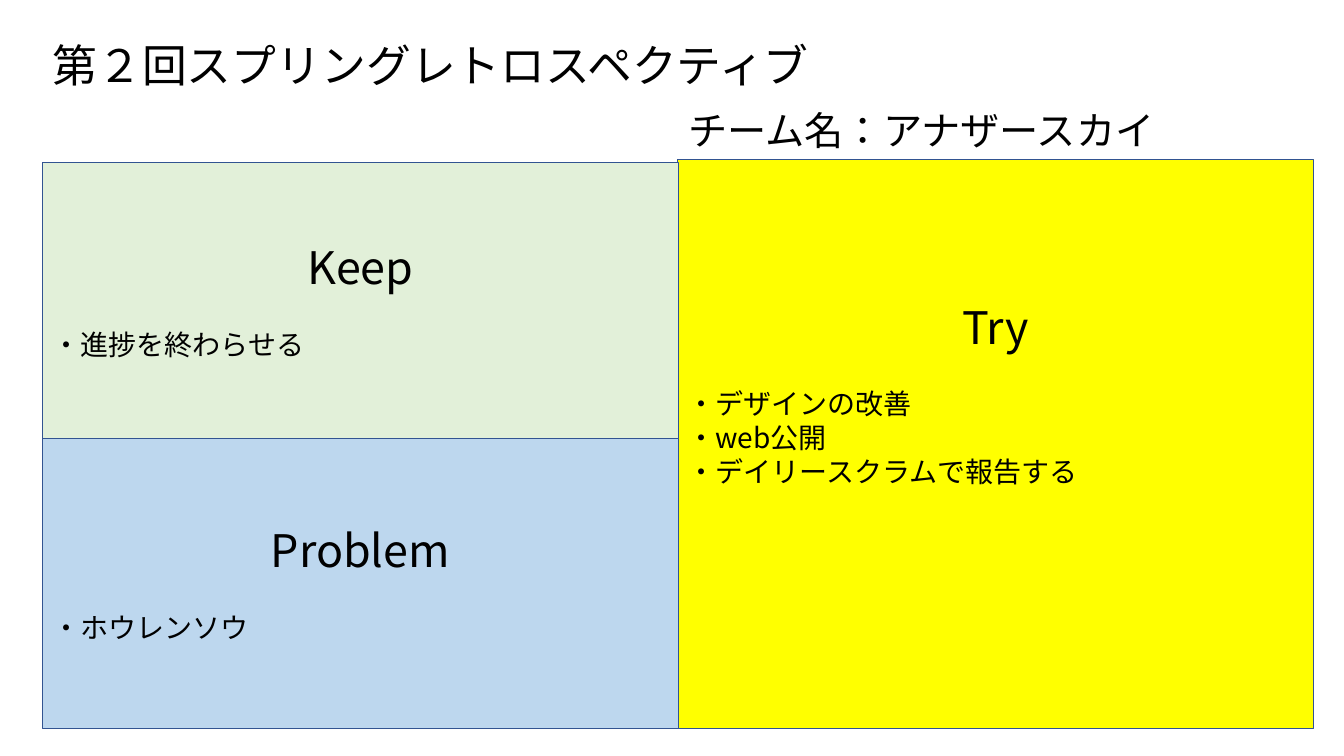
from lxml.etree import SubElement
from pptx import Presentation
from pptx.dml.color import RGBColor
from pptx.enum.lang import MSO_LANGUAGE_ID as LANG
from pptx.enum.shapes import MSO_SHAPE as SHAPE
from pptx.enum.text import MSO_ANCHOR as ANCHOR, MSO_AUTO_SIZE as FIT, PP_ALIGN as ALIGN
from pptx.oxml.ns import qn
from pptx.util import Inches, Pt

FONT = "Noto Sans CJK JP"
BLACK, BORDER = "000000", "325491"
TITLE = "第２回スプリングレトロスペクティブ"
TEAM = "チーム名：アナザースカイ"
PANELS = [
    ("Try", ["・デザインの改善", "・web公開", "・デイリースクラムで報告する"],
     "FFFF00", (6.72, 1.58, 6.31, 5.65), 1.05),
    ("Keep", ["・進捗を終わらせる"], "E2F0D9", (0.42, 1.61, 6.31, 2.74), 0.05),
    ("Problem", ["・ホウレンソウ"], "BDD7EE", (0.42, 4.35, 6.31, 2.88), 0.05),
]


def color(value):
    return RGBColor.from_string(value)


def write(p, text, size, **formats):
    r = p.add_run()
    r.text = text
    font = {"name": FONT, "size": Pt(size), "language_id": LANG.JAPANESE}
    for key, value in font.items():
        setattr(r.font, key, value)
    r.font.color.rgb = color(BLACK)
    SubElement(r.font._element, qn("a:ea"), typeface=FONT)
    for key, value in formats.items():
        setattr(p, key, value)


def add_panel(s, heading, items, fill, box, bottom):
    sp = s.shapes.add_shape(SHAPE.RECTANGLE, *map(Inches, box))
    sp.shadow.inherit = False
    sp.fill.solid()
    sp.fill.fore_color.rgb = color(fill)
    sp.line.color.rgb = color(BORDER)
    sp.line.width = Pt(1)
    tf = sp.text_frame
    layout = {"word_wrap": True, "vertical_anchor": ANCHOR.MIDDLE,
              "margin_bottom": Inches(bottom)}
    for key, value in layout.items():
        setattr(tf, key, value)
    write(tf.paragraphs[0], heading, 32, alignment=ALIGN.CENTER, space_after=Pt(24))
    for item in items:
        write(tf.add_paragraph(), item, 20, alignment=ALIGN.LEFT)


def main():
    prs = Presentation()
    prs.slide_width, prs.slide_height = Inches(13.33), Inches(7.5)
    s = prs.slides.add_slide(prs.slide_layouts[5])

    title = s.shapes.title
    title.left, title.top, title.width, title.height = map(Inches, (0.42, 0.26, 12.48, 0.82))
    tf = title.text_frame
    tf.auto_size, tf.vertical_anchor = FIT.NONE, ANCHOR.MIDDLE
    write(tf.paragraphs[0], TITLE, 32, alignment=ALIGN.LEFT, line_spacing=0.9)

    for panel in PANELS:
        add_panel(s, *panel)

    team = s.shapes.add_textbox(*map(Inches, (6.73, 1.01, 6.29, 0.57)))
    tf = team.text_frame
    tf.word_wrap, tf.auto_size = True, FIT.SHAPE_TO_FIT_TEXT
    write(tf.paragraphs[0], TEAM, 28)

    prs.save("out.pptx")


if __name__ == "__main__":
    main()
